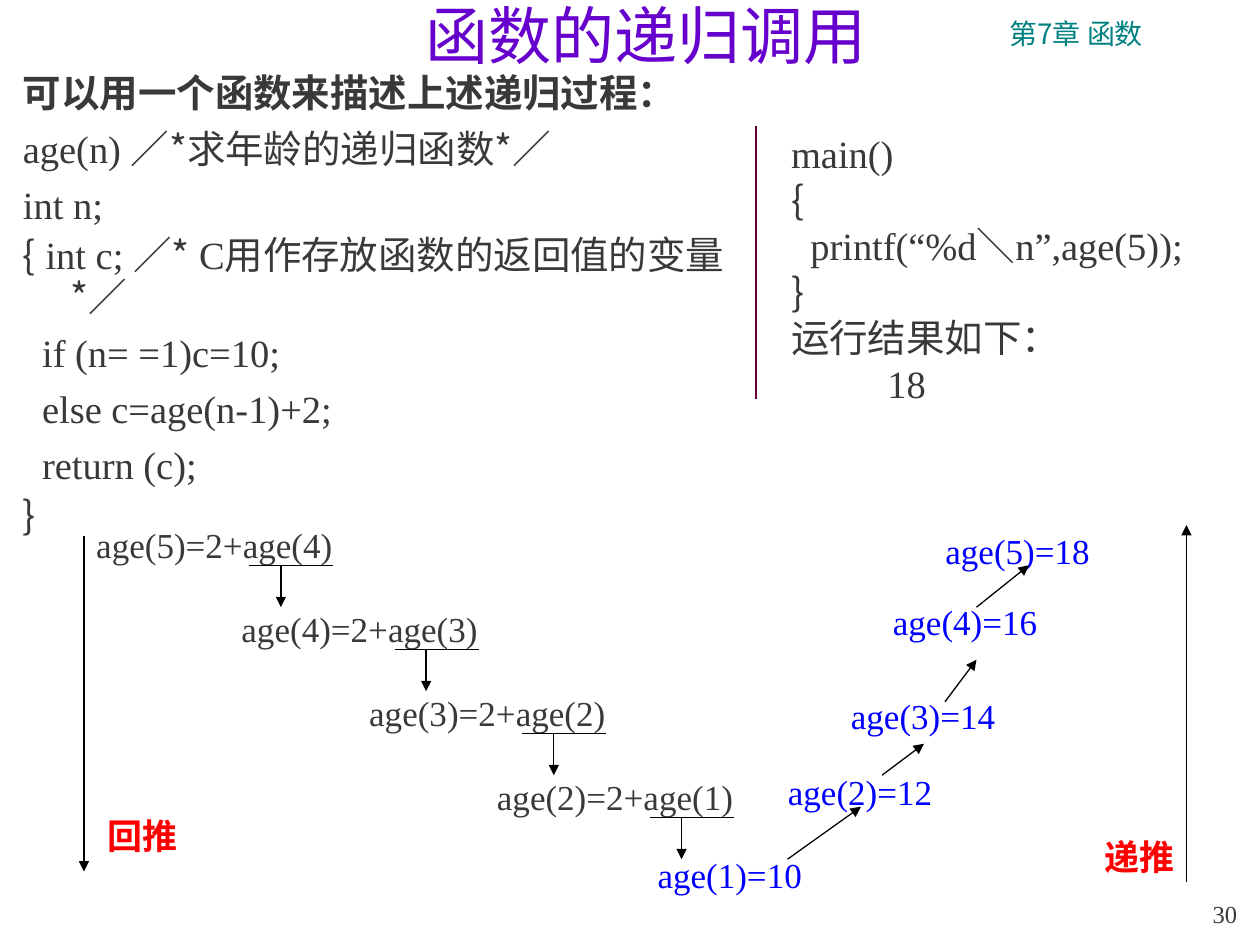
from dataclasses import dataclass

import lxml.etree
import pptx
import pptx.dml.color
import pptx.enum.shapes
import pptx.enum.text
import pptx.oxml.ns
import pptx.util

Pt = pptx.util.Pt
RGBColor = pptx.dml.color.RGBColor
Align = pptx.enum.text.PP_ALIGN
Anchor = pptx.enum.text.MSO_ANCHOR
qn = pptx.oxml.ns.qn

SERIF = "Times New Roman"
SANS = "Noto Sans CJK SC"
HEADER_FONT = "Noto Sans CJK JP"
INK = RGBColor(0x39, 0x39, 0x39)
BLACK = RGBColor(0, 0, 0)
BLUE = RGBColor(0, 0, 0xFF)
RED = RGBColor(0xFF, 0, 0)
TEAL = RGBColor(0, 0x80, 0x80)
PURPLE = RGBColor(0x66, 0, 0xCC)
MAROON = RGBColor(0x66, 0, 0x33)
HANGING = 27


@dataclass
class Label:
    text: str
    left: float
    top: float
    width: float
    height: float = 31
    size: float = 20
    color: RGBColor = INK
    font: str = SERIF
    bold: bool = False
    align: Align = Align.CENTER
    anchor: Anchor = Anchor.MIDDLE


@dataclass
class Line:
    x1: float
    y1: float
    x2: float
    y2: float
    arrow: bool = True
    color: RGBColor = BLACK


@dataclass
class CodeLine:
    text: str
    margin: float = 0
    first: float = 0
    before: float = 0
    spacing: float = 1
    bold: bool = False


def set_font(font, size: float, color: RGBColor, name: str, bold: bool = False) -> None:
    font.size = Pt(size)
    font.color.rgb = color
    font.name = name
    font.bold = bold


def add_box(s, left: float, top: float, width: float, height: float, wrap: bool, anchor: Anchor):
    tf = s.shapes.add_textbox(Pt(left), Pt(top), Pt(width), Pt(height)).text_frame
    tf.word_wrap = wrap
    tf.vertical_anchor = anchor
    return tf


def add_label(s, label: Label) -> None:
    tf = add_box(s, label.left, label.top, label.width, label.height, False, label.anchor)
    p = tf.paragraphs[0]
    p.alignment = label.align
    set_font(p.font, label.size, label.color, label.font, label.bold)
    p.add_run().text = label.text


def add_line(s, line: Line) -> None:
    sp = s.shapes.add_connector(
        pptx.enum.shapes.MSO_CONNECTOR.STRAIGHT, Pt(line.x1), Pt(line.y1), Pt(line.x2), Pt(line.y2)
    )
    sp.line.color.rgb = line.color
    sp.line.width = Pt(0.75)
    if line.arrow:
        lxml.etree.SubElement(sp.line._get_or_add_ln(), qn("a:tailEnd"), type="triangle")
    lxml.etree.SubElement(sp._element.spPr, qn("a:effectLst"))


def split_symbols(text: str) -> list[str]:
    for symbol in "*{}":
        text = text.replace(symbol, f"\n{symbol}\n")
    return [part for part in text.split("\n") if part]


def add_code(tf, lines: list[CodeLine]) -> None:
    for i, line in enumerate(lines):
        p = tf.add_paragraph() if i else tf.paragraphs[0]
        p.space_before = Pt(line.before)
        p.line_spacing = line.spacing
        pPr = p._p.get_or_add_pPr()
        pPr.set("marL", str(Pt(line.margin)))
        pPr.set("indent", str(Pt(line.first)))
        set_font(p.font, 22, INK, SERIF, line.bold)
        for part in split_symbols(line.text):
            r = p.add_run()
            r.text = part
            if part in "*{}":
                r.font.name = SANS


def body_line(text: str, spacing: float = 1, bold: bool = False) -> CodeLine:
    return CodeLine(text, HANGING, -HANGING, 5.5, spacing, bold)


def nested_line(text: str) -> CodeLine:
    return CodeLine(text, margin=11, before=5.5)


FUNCTION = [
    body_line("可以用一个函数来描述上述递归过程：", bold=True),
    body_line("age(n) ／*求年龄的递归函数*／"),
    body_line("int n;"),
    body_line("{ int c; ／* C用作存放函数的返回值的变量*／", 0.9),
    nested_line("if (n= =1)c=10;"),
    nested_line("else c=age(n-1)+2;"),
    nested_line("return (c);"),
    body_line("}", 0.9),
]
MAIN = [
    CodeLine("main()"),
    CodeLine("{"),
    CodeLine("printf(“%d＼n”,age(5));", margin=11),
    CodeLine("}"),
    CodeLine("运行结果如下："),
    CodeLine("18", margin=55),
]
CALL_LEFTS = [47.5, 130.5, 203.5, 276.5]
CALL_TOP, CALL_STEP = 295.5, 48
RESULTS = [(368.5, 484.5), (443, 437), (479, 393.5), (503, 339.5), (533, 299)]
LABELS = [
    Label("第7章 函数", 516, 6, 198, 27, 16, TEAL, HEADER_FONT, anchor=Anchor.TOP),
    Label("30", 672, 510, 42, 24, 14, align=Align.RIGHT, anchor=Anchor.BOTTOM),
    Label("回推", 54, 462, 55, color=RED, bold=True),
    Label("递推", 623.5, 474, 55, color=RED, bold=True),
]
LINES = [
    Line(432, 72, 432, 228, False, MAROON),
    Line(48, 306, 48, 498),
    Line(678, 504, 678, 300),
    Line(450, 491, 492, 461),
    Line(504, 443, 528, 425),
    Line(540, 401, 558, 377),
    Line(558, 347, 588, 323),
]


def main() -> None:
    prs = pptx.Presentation()
    prs.slide_width, prs.slide_height = Pt(720), Pt(540)
    s = prs.slides.add_slide(prs.slide_layouts[5])

    title = s.shapes.title
    title.left, title.top, title.width, title.height = Pt(126), Pt(-10), Pt(486), Pt(59)
    tf = title.text_frame
    tf.auto_size = pptx.enum.text.MSO_AUTO_SIZE.NONE
    tf.vertical_anchor = Anchor.MIDDLE
    p = tf.paragraphs[0]
    p.alignment = Align.CENTER
    set_font(p.font, 36, PURPLE, SERIF)
    p.add_run().text = "函数的递归调用"

    add_code(add_box(s, 6, 36, 420, 282, True, Anchor.TOP), FUNCTION)
    add_code(add_box(s, 445, 70.5, 249, 165.5, False, Anchor.MIDDLE), MAIN)

    for i, left in enumerate(CALL_LEFTS):
        n, top = 5 - i, CALL_TOP + i * CALL_STEP
        base = top + 27.5
        add_label(s, Label(f"age({n})=2+age({n - 1})", left, top, 150))
        add_line(s, Line(left + 95, base, left + 143, base, False))
        add_line(s, Line(left + 113, base, left + 113, base + 24))
    for n, (left, top) in enumerate(RESULTS, 1):
        add_label(s, Label(f"age({n})={8 + 2 * n}", left, top, 97, color=BLUE))
    for label in LABELS:
        add_label(s, label)
    for line in LINES:
        add_line(s, line)

    prs.save("out.pptx")


if __name__ == "__main__":
    main()
